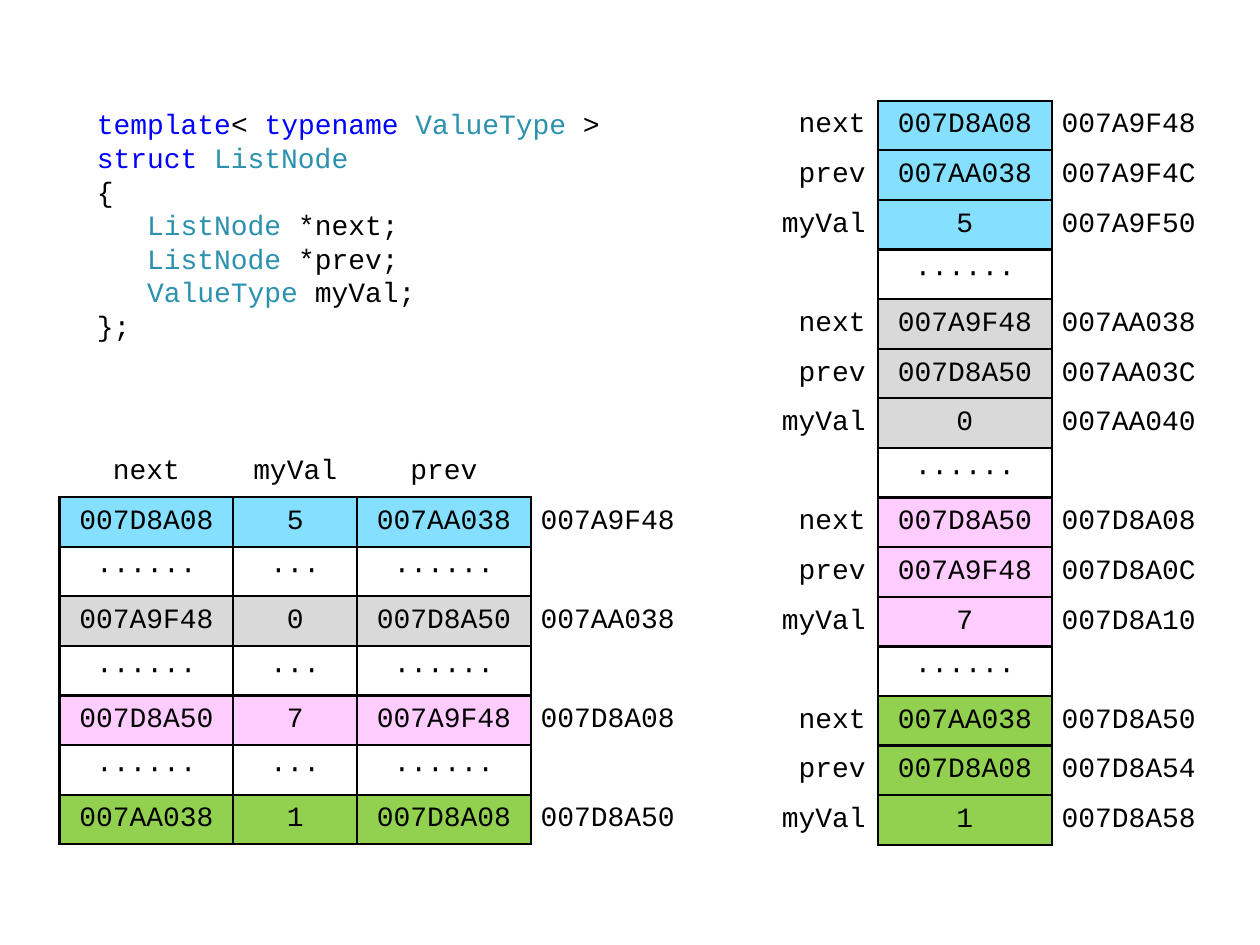
from lxml import etree
from pptx import Presentation
from pptx.dml.color import RGBColor
from pptx.enum import text as t
from pptx.oxml import ns
from pptx.util import Cm, Pt

FONT, SIZE = "Courier New", Pt(16)
COLORS = {
    "black": "000000", "key": "0000FF", "type": "2B91AF",
    "blue": "85DFFF", "gray": "D9D9D9", "pink": "FFCCFF", "green": "92D050",
}
PLAIN = "{2D5ABB26-0587-4C30-8999-92F81FD0307C}"  # no style, no grid
LEFT, MID, RIGHT = t.PP_ALIGN.LEFT, t.PP_ALIGN.CENTER, t.PP_ALIGN.RIGHT
WIDE, SLIM, ROW = 3.5, 2.5, 1  # column widths and row height, cm
GAP = "······"

# Address, next, prev, value and colour of each list node
NODES = [
    (0x007A9F48, "007D8A08", "007AA038", "5", "blue"),
    (0x007AA038, "007A9F48", "007D8A50", "0", "gray"),
    (0x007D8A08, "007D8A50", "007A9F48", "7", "pink"),
    (0x007D8A50, "007AA038", "007D8A08", "1", "green"),
]

CODE = [
    [("template", "key"), ("< ", "black"), ("typename ", "key"),
     ("ValueType", "type"), (" >", "black")],
    [("struct ", "key"), ("ListNode", "type")],
    [("{", "black")],
    [("   ", "black"), ("ListNode", "type"), (" *next;", "black")],
    [("   ", "black"), ("ListNode", "type"), (" *prev;", "black")],
    [("   ", "black"), ("ValueType ", "type"), ("myVal;", "black")],
    [("};", "black")],
]


def rgb(name):
    return RGBColor.from_string(COLORS[name])


def add_run(para, words, color="black"):
    run = para.add_run()
    run.text = words
    run.font.name, run.font.size = FONT, SIZE
    run.font.color.rgb = rgb(color)


def add_code(slide, x, y, w, h):
    """Struct listing in the body placeholder."""
    body = slide.placeholders[1]
    body.left, body.top, body.width, body.height = Cm(x), Cm(y), Cm(w), Cm(h)
    frame = body.text_frame
    frame.word_wrap = False
    frame.auto_size = t.MSO_AUTO_SIZE.NONE
    frame.vertical_anchor = t.MSO_ANCHOR.TOP
    for i, line in enumerate(CODE):
        para = frame.add_paragraph() if i else frame.paragraphs[0]
        para.space_before = para.space_after = Pt(0)
        para.line_spacing = Pt(19.2)
        props = para._p.get_or_add_pPr()
        props.set("marL", "0")
        props.set("indent", "0")
        etree.SubElement(props, ns.qn("a:buNone"))
        for words, color in line:
            add_run(para, words, color)


def set_edges(cell, sides):
    """Draw 1.5 pt black lines on the given sides (of LRTB)."""
    props = cell._tc.get_or_add_tcPr()
    for side in sides:
        line = etree.SubElement(props, ns.qn("a:ln" + side), w=str(Pt(1.5)))
        fill = etree.SubElement(line, ns.qn("a:solidFill"))
        etree.SubElement(fill, ns.qn("a:srgbClr"), val=COLORS["black"])


def fill_cell(cell, words, align, color, sides, pad):
    cell.margin_left = cell.margin_right = Cm(pad)
    cell.margin_top = cell.margin_bottom = 0
    cell.vertical_anchor = t.MSO_ANCHOR.MIDDLE
    set_edges(cell, sides)
    if color:
        cell.fill.solid()
        cell.fill.fore_color.rgb = rgb(color)
    else:
        cell.fill.background()
    if words:
        para = cell.text_frame.paragraphs[0]
        para.alignment = align
        add_run(para, words)


def add_grid(slide, x, y, cols, rows):
    """Table whose rows hold (words, align, colour, sides) for each cell."""
    frame = slide.shapes.add_table(len(rows), len(cols), Cm(x), Cm(y),
                                   Cm(sum(cols)), Cm(ROW * len(rows)))
    table = frame.table
    table.first_row = table.horz_banding = False
    table._tbl.tblPr.find(ns.qn("a:tableStyleId")).text = PLAIN
    for col, width in zip(table.columns, cols):
        col.width = Cm(width)
    for r, row in enumerate(rows):
        table.rows[r].height = Cm(ROW)
        for c, item in enumerate(row):
            pad = 0.25 if cols[c] == SLIM else 0.2
            fill_cell(table.cell(r, c), *item, pad)


def add_list(slide, x, y):
    """One row per node, with a header and gaps between nodes."""
    rows = [[(name, MID, None, "B") for name in ("next", "myVal", "prev")]
            + [("", LEFT, None, "")]]
    for i, (addr, nxt, prev, val, color) in enumerate(NODES):
        if i:
            rows.append([(dots, MID, None, "LRTB")
                         for dots in (GAP, "···", GAP)]
                        + [("", LEFT, None, "L")])
        rows.append([(word, MID, color, "LRTB") for word in (nxt, val, prev)]
                    + [(f"{addr:08X}", LEFT, None, "L")])
    add_grid(slide, x, y, [WIDE, SLIM, WIDE, WIDE], rows)


def add_memory(slide, x, y):
    """One row per field, four bytes apart, with gaps between nodes."""
    rows = []

    def add_row(name, word, addr, color):
        rows.append([(name, RIGHT, None, "R"), (word, MID, color, "LRTB"),
                     (addr, LEFT, None, "L")])

    for i, (addr, nxt, prev, val, color) in enumerate(NODES):
        if i:
            add_row("", GAP, "", None)
        fields = [("next", nxt), ("prev", prev), ("myVal", val)]
        for k, (name, word) in enumerate(fields):
            add_row(name, word, f"{addr + 4 * k:08X}", color)
    add_grid(slide, x, y, [SLIM, WIDE, WIDE], rows)


def main():
    deck = Presentation()
    deck.slide_width, deck.slide_height = Cm(25.4), Cm(19.05)
    slide = deck.slides.add_slide(deck.slide_layouts[1])
    title = slide.shapes.title._element
    title.getparent().remove(title)
    add_code(slide, 1.7, 2.03, 11, 5)
    add_list(slide, 1.2, 9.02)
    add_memory(slide, 15.2, 2.03)
    deck.save("out.pptx")


if __name__ == "__main__":
    main()
